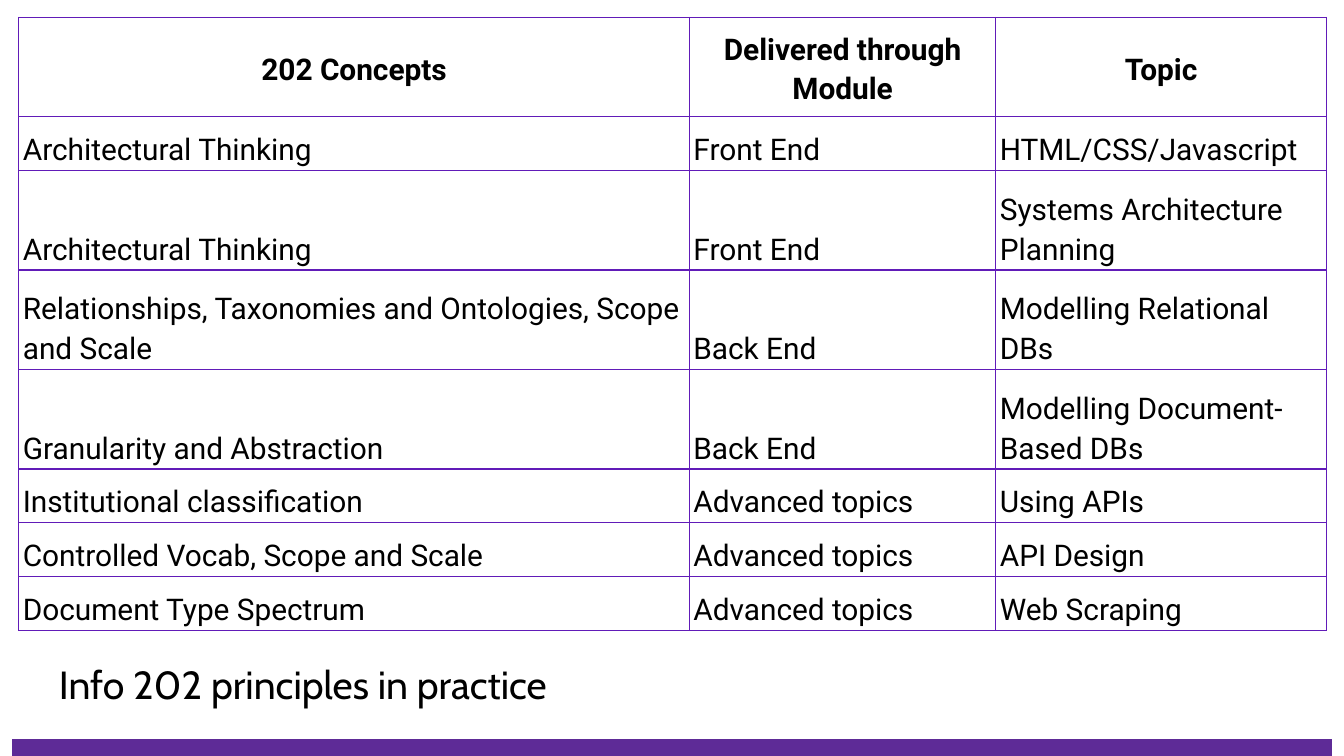
from lxml import etree
from pptx import Presentation
from pptx.dml.color import RGBColor
from pptx.enum import shapes, text
from pptx.oxml import ns
from pptx.util import Inches, Pt

BLACK = RGBColor(0x00, 0x00, 0x00)
PURPLE = RGBColor(0x5E, 0x2B, 0x97)
BORDER = RGBColor(0x61, 0x1B, 0xB8)

COLUMN_WIDTHS = [4.99, 2.28, 2.46]
SINGLE_ROW, DOUBLE_ROW = 0.4, 0.74
ROWS = [
    (DOUBLE_ROW, "202 Concepts", "Delivered through Module", "Topic"),
    (SINGLE_ROW, "Architectural Thinking", "Front End", "HTML/CSS/Javascript"),
    (DOUBLE_ROW, "Architectural Thinking", "Front End", "Systems Architecture Planning"),
    (DOUBLE_ROW, "Relationships, Taxonomies and Ontologies, Scope and Scale",
     "Back End", "Modelling Relational DBs"),
    (DOUBLE_ROW, "Granularity and Abstraction", "Back End", "Modelling Document-Based DBs"),
    (SINGLE_ROW, "Institutional classification", "Advanced topics", "Using APIs"),
    (SINGLE_ROW, "Controlled Vocab, Scope and Scale", "Advanced topics", "API Design"),
    (SINGLE_ROW, "Document Type Spectrum", "Advanced topics", "Web Scraping"),
]


def write_text(frame, content, font="Roboto", size=16, bold=False,
               align=text.PP_ALIGN.LEFT, spacing=1.0):
    paragraph = frame.paragraphs[0]
    paragraph.alignment = align
    paragraph.line_spacing = spacing
    run = paragraph.add_run()
    run.text = content
    run.font.name = font
    run.font.size = Pt(size)
    run.font.bold = bold
    run.font.color.rgb = BLACK


def add_borders(cell):
    properties = cell._tc.get_or_add_tcPr()
    for side in ("lnL", "lnR", "lnT", "lnB"):
        line = etree.SubElement(properties, ns.qn(f"a:{side}"), w=str(Pt(0.75)))
        fill = etree.SubElement(line, ns.qn("a:solidFill"))
        etree.SubElement(fill, ns.qn("a:srgbClr"), val=str(BORDER))


def add_concept_table(slide, left, top):
    width = sum(COLUMN_WIDTHS)
    height = sum(row[0] for row in ROWS)
    table = slide.shapes.add_table(
        len(ROWS), len(COLUMN_WIDTHS),
        Inches(left), Inches(top), Inches(width), Inches(height)).table
    table.first_row = False
    table.horz_banding = False
    for column, column_width in zip(table.columns, COLUMN_WIDTHS):
        column.width = Inches(column_width)
    for row_index, (row_height, *contents) in enumerate(ROWS):
        header = row_index == 0
        table.rows[row_index].height = Inches(row_height)
        for cell, content in zip(table.rows[row_index].cells, contents):
            add_borders(cell)
            cell.fill.background()
            cell.margin_left = cell.margin_right = Inches(0.03)
            cell.margin_top = cell.margin_bottom = Inches(0.02)
            cell.vertical_anchor = text.MSO_ANCHOR.MIDDLE if header else text.MSO_ANCHOR.BOTTOM
            align = text.PP_ALIGN.CENTER if header else text.PP_ALIGN.LEFT
            write_text(cell.text_frame, content, bold=header, align=align, spacing=1.15)


def add_caption(slide, left, top, width, height):
    caption = slide.shapes.add_textbox(
        Inches(left), Inches(top), Inches(width), Inches(height))
    frame = caption.text_frame
    frame.word_wrap = True
    frame.vertical_anchor = text.MSO_ANCHOR.MIDDLE
    frame.margin_left = frame.margin_right = Inches(0.1)
    frame.margin_top = frame.margin_bottom = Inches(0.1)
    write_text(frame, "Info 202 principles in practice", font="Cabin", size=21)


def add_footer_bar(slide, left, top, width, height):
    bar = slide.shapes.add_shape(
        shapes.MSO_SHAPE.RECTANGLE,
        Inches(left), Inches(top), Inches(width), Inches(height))
    bar.shadow.inherit = False
    bar.fill.solid()
    bar.fill.fore_color.rgb = PURPLE
    bar.line.fill.background()


def main():
    presentation = Presentation()
    presentation.slide_width = Inches(10)
    presentation.slide_height = presentation.slide_width * 9 // 16
    slide = presentation.slides.add_slide(presentation.slide_layouts[6])
    add_footer_bar(slide, 0.09, 5.5, 9.82, 0.13)
    add_caption(slide, 0.34, 4.76, 6.56, 0.66)
    add_concept_table(slide, 0.14, 0.13)
    presentation.save("out.pptx")


if __name__ == "__main__":
    main()
